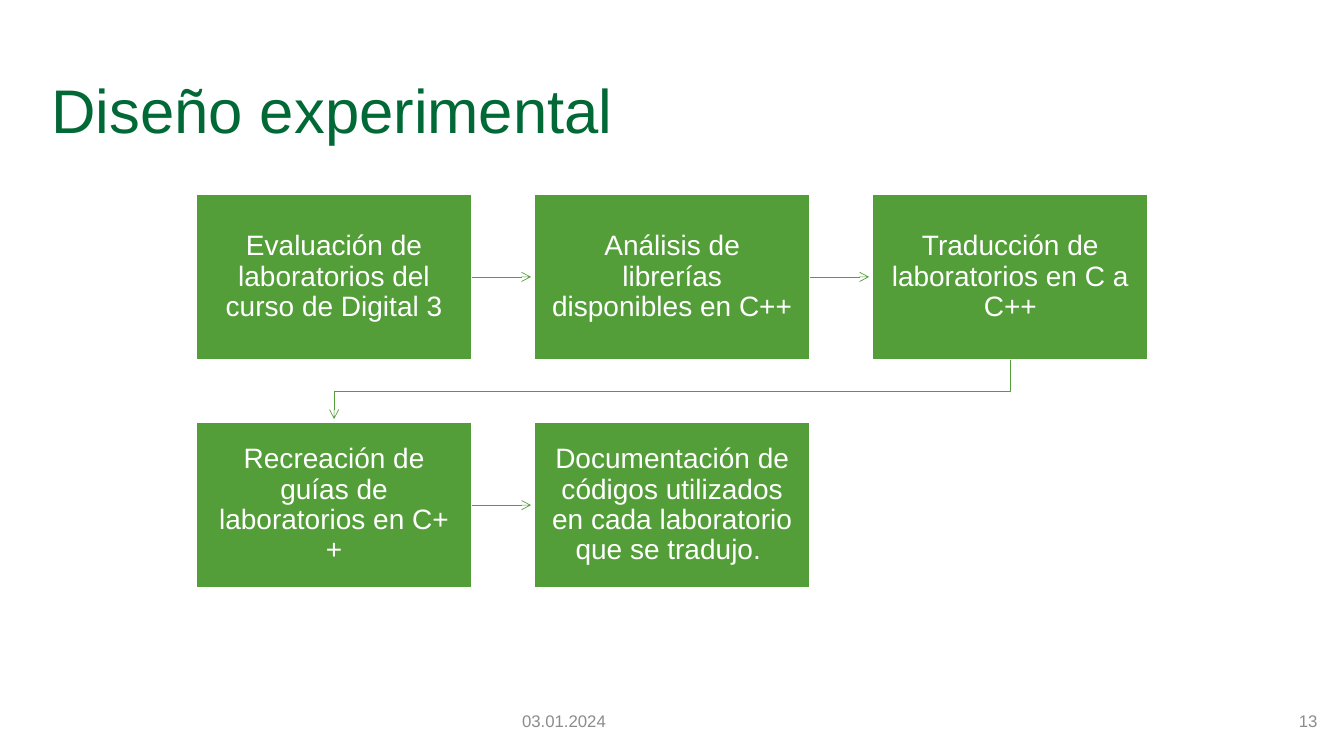
from dataclasses import dataclass

from lxml.etree import SubElement
from pptx import Presentation
from pptx.dml.color import RGBColor
from pptx.enum.shapes import MSO_CONNECTOR as Connector, MSO_SHAPE as Shape
from pptx.enum.text import MSO_ANCHOR as Anchor, PP_ALIGN as Align
from pptx.oxml.ns import qn
from pptx.util import Pt


@dataclass(frozen=True)
class Theme:
    font: str = "Arial"
    title_color: RGBColor = RGBColor(0x00, 0x69, 0x36)
    green: RGBColor = RGBColor(0x54, 0x9E, 0x39)
    white: RGBColor = RGBColor(0xFF, 0xFF, 0xFF)
    gray: RGBColor = RGBColor(0x8C, 0x8C, 0x8C)
    title_size: int = 44
    step_size: int = 20
    footer_size: int = 12


class SlideBuilder:
    def __init__(self, slide, theme):
        self.shapes = slide.shapes
        self.theme = theme

    def set_text(self, shape, text, size, color, align, line_spacing=1.0):
        frame = shape.text_frame
        frame.word_wrap = True
        frame.vertical_anchor = Anchor.MIDDLE
        para = frame.paragraphs[0]
        para.text = text
        para.alignment = align
        para.line_spacing = line_spacing
        para.font.name = self.theme.font
        para.font.size = Pt(size)
        para.font.color.rgb = color
        return frame

    def label(self, text, left, top, width, height, size, color,
              align=Align.LEFT, line_spacing=1.0):
        box = self.shapes.add_textbox(Pt(left), Pt(top), Pt(width), Pt(height))
        self.set_text(box, text, size, color, align, line_spacing)

    def step(self, text, left, top, width, height, inset=11.5):
        box = self.shapes.add_shape(
            Shape.RECTANGLE, Pt(left), Pt(top), Pt(width), Pt(height))
        box.shadow.inherit = False
        box.fill.solid()
        box.fill.fore_color.rgb = self.theme.green
        box.line.color.rgb = self.theme.white
        box.line.width = Pt(1)
        frame = self.set_text(box, text, self.theme.step_size,
                              self.theme.white, Align.CENTER, 0.9)
        frame.margin_left = frame.margin_right = Pt(inset)
        frame.margin_top = frame.margin_bottom = Pt(inset)
        return box

    def style_arrow(self, arrow):
        arrow.line.color.rgb = self.theme.green
        arrow.line.width = Pt(0.5)
        properties = arrow._element.spPr
        SubElement(properties.find(qn("a:ln")), qn("a:tailEnd"), type="arrow")
        SubElement(properties, qn("a:effectLst"))

    def arrow_right(self, box, length):
        start = box.left + box.width
        middle = box.top + box.height // 2
        arrow = self.shapes.add_connector(
            Connector.STRAIGHT, start, middle, start + Pt(length), middle)
        arrow.begin_connect(box, 3)
        self.style_arrow(arrow)

    def arrow_to_next_row(self, source, target, gap):
        start_x = source.left + source.width // 2
        start_y = source.top + source.height
        end_x = target.left + target.width // 2
        bend_y = (start_y + target.top) // 2
        outline = self.shapes.build_freeform(start_x, start_y)
        outline.add_line_segments(
            [(start_x, bend_y), (end_x, bend_y), (end_x, target.top - Pt(gap))],
            close=False)
        arrow = outline.convert_to_shape()
        arrow.fill.background()
        self.style_arrow(arrow)


STEPS = [
    "Evaluación de laboratorios del curso de Digital 3",
    "Análisis de librerías disponibles en C++",
    "Traducción de laboratorios en C a C++",
    "Recreación de guías de laboratorios en C++",
    "Documentación de códigos utilizados en cada laboratorio que se tradujo. ",
]
COLUMNS = 3
LEFT, TOP = 140.3, 138.8
BOX_WIDTH, BOX_HEIGHT = 196.7, 118
COLUMN_PITCH, ROW_PITCH = 241.5, 163
ARROW_GAP = 2.5


def main():
    deck = Presentation()
    deck.slide_width, deck.slide_height = Pt(960), Pt(540)
    theme = Theme()
    page = SlideBuilder(deck.slides.add_slide(deck.slide_layouts[6]), theme)

    # Title
    page.label("Diseño experimental", 29.5, 28.8, 901.5, 104.4,
               theme.title_size, theme.title_color, line_spacing=0.9)

    # Process steps, row by row
    boxes = []
    for index, text in enumerate(STEPS):
        row, column = divmod(index, COLUMNS)
        boxes.append(page.step(text, LEFT + column * COLUMN_PITCH,
                               TOP + row * ROW_PITCH, BOX_WIDTH, BOX_HEIGHT))

    # Arrows between consecutive steps
    for source, target in zip(boxes, boxes[1:]):
        if source.top == target.top:
            page.arrow_right(source, COLUMN_PITCH - BOX_WIDTH - ARROW_GAP)
        else:
            page.arrow_to_next_row(source, target, ARROW_GAP)

    # Footer: date and page number
    page.label("03.01.2024", 365.8, 500.4, 216, 28.8,
               theme.footer_size, theme.gray)
    page.label("13", 732.2, 500.4, 216, 28.8,
               theme.footer_size, theme.gray, Align.RIGHT)

    deck.save("out.pptx")


if __name__ == "__main__":
    main()
